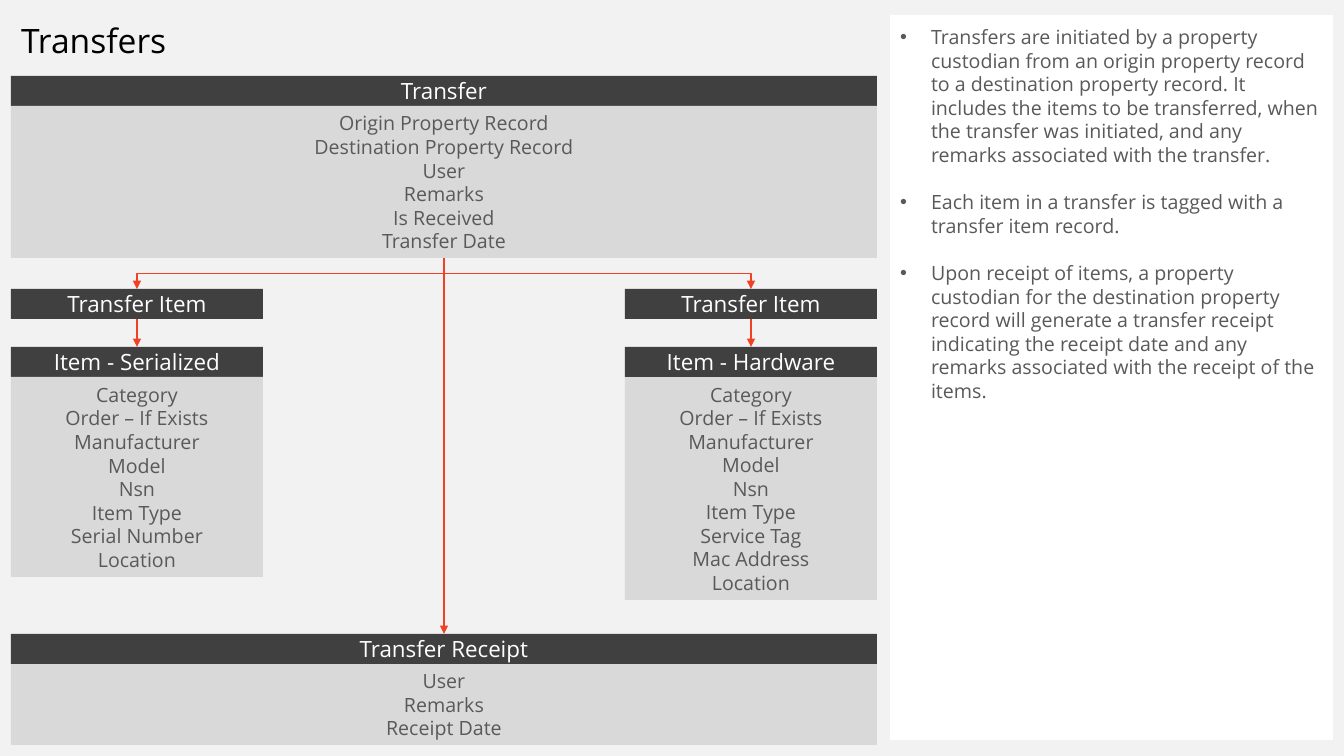
from lxml import etree
from pptx import Presentation
from pptx.dml.color import RGBColor
from pptx.enum.shapes import MSO_CONNECTOR, MSO_SHAPE
from pptx.enum.text import MSO_ANCHOR, MSO_AUTO_SIZE, PP_ALIGN
from pptx.oxml.ns import qn
from pptx.util import Pt

TITLE = "Transfers"
NOTES = [
    "Transfers are initiated by a property custodian from an origin property record to a "
    "destination property record. It includes the items to be transferred, when the transfer "
    "was initiated, and any remarks associated with the transfer.",
    "Each item in a transfer is tagged with a transfer item record.",
    "Upon receipt of items, a property custodian for the destination property record will "
    "generate a transfer receipt indicating the receipt date and any remarks associated with "
    "the receipt of the items.",
]
TRANSFER = ("Transfer", ["Origin Property Record", "Destination Property Record", "User",
                         "Remarks", "Is Received", "Transfer Date"])
RECEIPT = ("Transfer Receipt", ["User", "Remarks", "Receipt Date"])
ITEM_LINK = "Transfer Item"
COMMON_FIELDS = ["Category", "Order – If Exists", "Manufacturer", "Model", "Nsn", "Item Type"]
ITEMS = [
    ("Item - Serialized", COMMON_FIELDS + ["Serial Number", "Location"]),
    ("Item - Hardware", COMMON_FIELDS + ["Service Tag", "Mac Address", "Location"]),
]

BACKGROUND = RGBColor(0xF2, 0xF2, 0xF2)
WHITE = RGBColor(0xFF, 0xFF, 0xFF)
BLACK = RGBColor(0x00, 0x00, 0x00)
DARK = RGBColor(0x40, 0x40, 0x40)
LIGHT = RGBColor(0xD9, 0xD9, 0xD9)
GREY = RGBColor(0x59, 0x59, 0x59)
RED = RGBColor(0xF1, 0x41, 0x24)

RECTANGLE = MSO_SHAPE.RECTANGLE
STRAIGHT, ELBOW = MSO_CONNECTOR.STRAIGHT, MSO_CONNECTOR.ELBOW
TOP, MIDDLE = MSO_ANCHOR.TOP, MSO_ANCHOR.MIDDLE
LEFT, CENTER = PP_ALIGN.LEFT, PP_ALIGN.CENTER
NO_AUTOFIT = MSO_AUTO_SIZE.NONE

PX = 12192000 / 1344
SLIDE_WIDTH, SLIDE_HEIGHT = 1344, 756
MARGIN, DIAGRAM_WIDTH, ITEM_WIDTH = 11, 866, 252
HEADER_HEIGHT, LINE_HEIGHT, BOX_PADDING = 30, 23.7, 10
TRANSFER_TOP, LINK_TOP, ITEM_TOP, RECEIPT_TOP = 76, 289, 347, 634
TITLE_BOX = (MARGIN, 15, DIAGRAM_WIDTH, 50)
NOTES_BOX = (890, 15, 443, 725)
BULLET_INDENT = 31

HEADER_FONT = {"name": "Open Sans", "size": Pt(16)}
BODY_FONT = {"name": "Open Sans", "size": Pt(14)}
TITLE_FONT = {"name": "Open Sans", "size": Pt(24)}


def emu(pixels):
    """Turn px into EMU."""
    return round(pixels * PX)


def set_attributes(target, values):
    """Set each named value on the target."""
    for name, value in values.items():
        setattr(target, name, value)


def place(shape, box):
    """Move and size a shape to a px box."""
    set_attributes(shape, dict(zip(("left", "top", "width", "height"), map(emu, box))))


def write(shape, lines, font, color, paragraph_format, frame_format):
    """Fill a shape with one formatted paragraph per line."""
    frame = shape.text_frame
    frame.text = "\n".join(lines)
    set_attributes(frame, {"word_wrap": True, "auto_size": NO_AUTOFIT, **frame_format})
    for paragraph in frame.paragraphs:
        set_attributes(paragraph, paragraph_format)
        for run in paragraph.runs:
            set_attributes(run.font, font)
            run.font.color.rgb = color


def add_box(slide, box, lines, fill, font, color):
    """Add a filled rectangle with centred lines."""
    shape = slide.shapes.add_shape(RECTANGLE, *map(emu, box))
    shape.shadow.inherit = False
    shape.fill.solid()
    shape.fill.fore_color.rgb = fill
    shape.line.fill.background()
    write(shape, lines, font, color, {"alignment": CENTER}, {"vertical_anchor": MIDDLE})
    return shape


def add_header(slide, left, top, width, text):
    """Add a dark heading bar."""
    return add_box(slide, (left, top, width, HEADER_HEIGHT), [text], DARK, HEADER_FONT, WHITE)


def add_record(slide, left, top, width, record):
    """Add a heading bar with its list of fields below."""
    name, fields = record
    header = add_header(slide, left, top, width, name)
    height = round(len(fields) * LINE_HEIGHT) + BOX_PADDING
    body = add_box(slide, (left, top + HEADER_HEIGHT, width, height), fields,
                   LIGHT, BODY_FONT, GREY)
    return header, body


def style_arrow(connector):
    """Give a connector a red line and a triangle head."""
    connector.line.color.rgb = RED
    connector.line.width = Pt(1)
    line = connector.line._get_or_add_ln()
    etree.SubElement(line, qn("a:tailEnd"), type="triangle")
    etree.SubElement(connector._element.spPr, qn("a:effectLst"))


def join_down(slide, upper, lower):
    """Join the bottom of one box to the top of another."""
    connector = slide.shapes.add_connector(STRAIGHT, 0, 0, 0, 0)
    connector.begin_connect(upper, 2)
    connector.end_connect(lower, 0)
    style_arrow(connector)


def branch_down(slide, upper, lower):
    """Draw an elbow that leaves downwards, as a turned box about its centre."""
    start_x, end_x = (shape.left + shape.width // 2 for shape in (upper, lower))
    start_y, end_y = upper.top + upper.height, lower.top
    center_x, center_y = (start_x + end_x) // 2, (start_y + end_y) // 2
    half_drop, half_span = (end_y - start_y) // 2, abs(end_x - start_x) // 2
    side = 1 if end_x > start_x else -1
    connector = slide.shapes.add_connector(
        ELBOW, center_x + side * half_drop, center_y - half_span,
        center_x - side * half_drop, center_y + half_span)
    degrees = 270 if side > 0 else 90
    connector._element.spPr.find(qn("a:xfrm")).set("rot", str(degrees * 60000))
    style_arrow(connector)


def add_notes_panel(panel):
    """Format the body placeholder as the white bullet panel."""
    place(panel, NOTES_BOX)
    panel.fill.solid()
    panel.fill.fore_color.rgb = WHITE
    margins = dict.fromkeys(
        ("margin_left", "margin_top", "margin_right", "margin_bottom"), emu(BOX_PADDING))
    write(panel, NOTES, BODY_FONT, GREY,
          {"alignment": LEFT, "space_before": Pt(0), "space_after": Pt(17)},
          {"vertical_anchor": TOP, **margins})
    for paragraph in panel.text_frame.paragraphs:
        properties = paragraph._p.get_or_add_pPr()
        properties.set("marL", str(emu(BULLET_INDENT)))
        properties.set("indent", str(-emu(BULLET_INDENT)))
        etree.SubElement(properties, qn("a:buFont"), typeface="Arial")
        etree.SubElement(properties, qn("a:buChar"), char="•")


def main():
    """Build the transfers slide."""
    presentation = Presentation()
    presentation.slide_width = emu(SLIDE_WIDTH)
    presentation.slide_height = emu(SLIDE_HEIGHT)
    slide = presentation.slides.add_slide(presentation.slide_layouts[1])
    slide.background.fill.solid()
    slide.background.fill.fore_color.rgb = BACKGROUND

    title = slide.shapes.title
    place(title, TITLE_BOX)
    write(title, [TITLE], TITLE_FONT, BLACK, {"alignment": LEFT}, {"vertical_anchor": MIDDLE})
    add_notes_panel(slide.placeholders[1])

    _, transfer = add_record(slide, MARGIN, TRANSFER_TOP, DIAGRAM_WIDTH, TRANSFER)
    receipt, _ = add_record(slide, MARGIN, RECEIPT_TOP, DIAGRAM_WIDTH, RECEIPT)
    for index, record in enumerate(ITEMS):
        left = MARGIN + index * (DIAGRAM_WIDTH - ITEM_WIDTH)
        link = add_header(slide, left, LINK_TOP, ITEM_WIDTH, ITEM_LINK)
        item, _ = add_record(slide, left, ITEM_TOP, ITEM_WIDTH, record)
        branch_down(slide, transfer, link)
        join_down(slide, link, item)
    join_down(slide, transfer, receipt)

    presentation.save("out.pptx")


if __name__ == "__main__":
    main()
